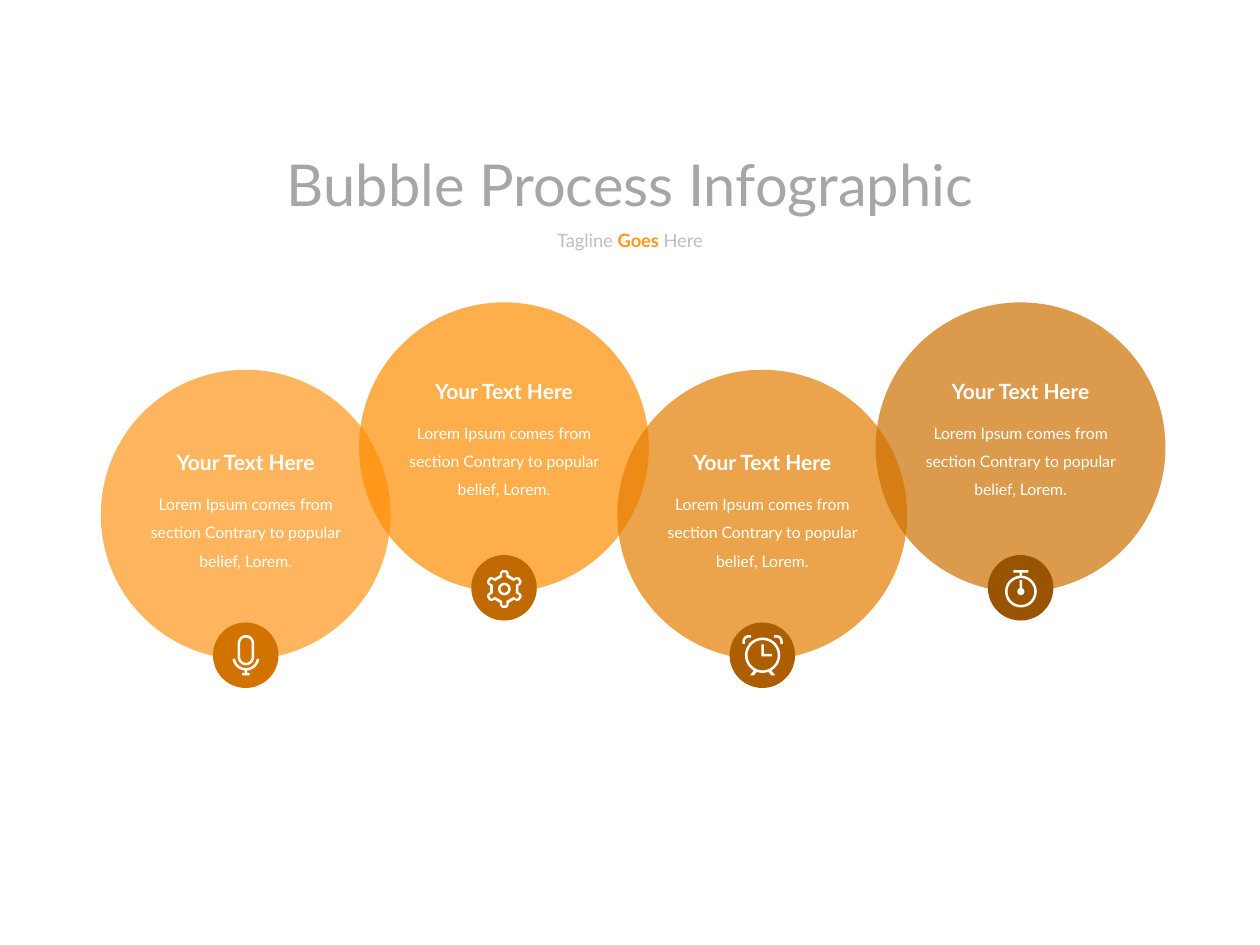
import math
from dataclasses import dataclass

import pptx
import pptx.dml.color
import pptx.enum.shapes
import pptx.enum.text
import pptx.oxml
import pptx.oxml.ns
import pptx.util

COLS, ROWS = 200, 150  # grid over the slide
HUNDREDTH = 0.2        # one hundredth of an inch, in grid columns


@dataclass(frozen=True)
class Theme:
    font: str = "Lato"
    white: str = "FFFFFF"
    title: str = "A6A6A6"
    muted: str = "BFBFBF"
    accent: str = "FF9719"
    bubbles: tuple = ("FF9719", "FF8C00", "E57E00", "CC7000")
    badges: tuple = ("D27300", "BF6900", "AC5E00", "995400")
    bubble_alpha: int = 70
    title_size: float = 33
    tagline_size: float = 10.5
    heading_size: float = 12
    body_size: float = 9


def add_run(p, text, font, size, color, bold=False):
    r = p.add_run()
    r.text = text
    r.font.name = font
    r.font.size = pptx.util.Pt(size)
    r.font.bold = bold
    r.font.color.rgb = pptx.dml.color.RGBColor.from_string(color)


class SlideBuilder:
    def __init__(self, prs, theme):
        self.theme = theme
        self.s = prs.slides.add_slide(prs.slide_layouts[5])
        self.col = prs.slide_width / COLS
        self.row = prs.slide_height / ROWS

    def box(self, cx, top, width, height):
        """Turn a centred grid box into left, top, width, height in EMU."""
        return (round((cx - width / 2) * self.col), round(top * self.row),
                round(width * self.col), round(height * self.row))

    def fill_text(self, sp, runs, size, wrap=False, spacing=None):
        tf = sp.text_frame
        tf.word_wrap = wrap
        tf.vertical_anchor = pptx.enum.text.MSO_ANCHOR.TOP
        tf.auto_size = pptx.enum.text.MSO_AUTO_SIZE.NONE
        p = tf.paragraphs[0]
        p.alignment = pptx.enum.text.PP_ALIGN.CENTER
        if spacing:
            p.line_spacing = spacing
        for text, color, bold in runs:
            add_run(p, text, self.theme.font, size, color, bold=bold)

    def title(self, text, cx, top, width, height):
        sp = self.s.shapes.title
        sp.left, sp.top, sp.width, sp.height = self.box(cx, top, width, height)
        self.fill_text(sp, [(text, self.theme.title, False)], self.theme.title_size)

    def text(self, runs, cx, top, width, height, **style):
        sp = self.s.shapes.add_textbox(*self.box(cx, top, width, height))
        self.fill_text(sp, runs, **style)

    def paint(self, sp, color, alpha=None):
        sp.shadow.inherit = False
        sp.line.fill.background()
        sp.fill.solid()
        sp.fill.fore_color.rgb = pptx.dml.color.RGBColor.from_string(color)
        if alpha:
            clr = sp._element.spPr.find(".//" + pptx.oxml.ns.qn("a:srgbClr"))
            node = pptx.oxml.parse_xml(
                f'<a:alpha {pptx.oxml.ns.nsdecls("a")} val="{alpha * 1000}"/>')
            clr.append(node)

    def circle(self, cx, cy, size, color, alpha=None):
        sp = self.s.shapes.add_shape(pptx.enum.shapes.MSO_SHAPE.OVAL,
                                     *self.box(cx, cy - size / 2, size, size))
        self.paint(sp, color, alpha)

    def icon(self, contours, cx, cy):
        """Draw contours given in hundredths of an inch around a centre."""
        def place(points):
            return [((cx + x * HUNDREDTH) * self.col, (cy + y * HUNDREDTH) * self.row)
                    for x, y in points]

        first, *others = map(place, contours)
        builder = self.s.shapes.build_freeform(*first[0], scale=1.0)
        builder.add_line_segments(first[1:], close=True)
        for points in others:
            builder.move_to(*points[0])
            builder.add_line_segments(points[1:], close=True)
        self.paint(builder.convert_to_shape(), self.theme.white)


def arc(cx, cy, radius, start=0, end=360):
    steps = max(8, abs(end - start) // 8)
    angles = [math.radians(start + (end - start) * i / steps) for i in range(steps + 1)]
    return [(cx + radius * math.cos(a), cy + radius * math.sin(a)) for a in angles]


def ring(cx, cy, outer, inner):
    return [arc(cx, cy, outer), arc(cx, cy, inner)]


def bar(left, top, right, bottom):
    return [(left, top), (right, top), (right, bottom), (left, bottom)]


def mirror(points):
    return [(-x, y) for x, y in points]


def microphone():
    def capsule(radius):
        return arc(0, -9.5, radius, 180, 360) + arc(0, 1.5, radius, 0, 180)

    cradle = arc(0, 1.5, 10.7, 8, 172) + arc(0, 1.5, 8.7, 172, 8)
    stand = [(-1, 12), (1, 12), (1, 14), (3, 14), (3, 16), (-3, 16), (-3, 14), (-1, 14)]
    return [capsule(6.5), capsule(4.5), cradle, stand]


def gear():
    def wheel(half_tooth):
        """Repeat half a tooth, mirrored, at six angles."""
        tooth = half_tooth + mirror(half_tooth)[::-1]
        turns = [math.radians(60 * i) for i in range(6)]
        return [(x * math.cos(a) - y * math.sin(a), 1 + x * math.sin(a) + y * math.cos(a))
                for a in turns for x, y in tooth]

    return [wheel([(-3.5, -11), (-3.3, -13.3), (-1.7, -15)]),
            wheel([(-1.7, -9.5), (-1.7, -12.5), (-1.2, -13)]),
            *ring(0, 1, 5, 3)]


def alarm_clock():
    hands = [(-1, -8.5), (1, -8.5), (1, -1), (7.5, -1), (7.5, 1), (-1, 1)]
    ear = [(-16, -9), *arc(-11, -11, 5, 180, 270), (-9, -16),
           (-9, -14), *arc(-11, -11, 3, 270, 180), (-14, -9)]
    foot = [(-7, 12.2), (-10, 16), (-7, 16), (-4.6, 13.3)]
    return [*ring(0, 0, 14, 12), hands, ear, mirror(ear), foot, mirror(foot)]


def stopwatch():
    return [*ring(0, 3, 12.6, 10.6), bar(-6, -14, 6, -12), bar(-1, -12, 1, -9.5),
            bar(-1, -6, 1, 0.3), arc(0, 3, 2.8)]


def main():
    prs = pptx.Presentation()
    prs.slide_width = pptx.util.Inches(10)
    prs.slide_height = pptx.util.Inches(7.5)
    theme = Theme()
    sb = SlideBuilder(prs, theme)

    sb.title("Bubble Process Infographic", 100, 22.6, 118.6, 13.2)
    sb.text([("Tagline ", theme.muted, False), ("Goes ", theme.accent, True),
             ("Here", theme.muted, False)], 100, 35.4, 28, 5.6, size=theme.tagline_size)

    icons = (microphone, gear, alarm_clock, stopwatch)
    centers = [39 + 41 * i for i in range(len(icons))]
    raised = [i % 2 for i in range(len(icons))]
    badge_rows = [104 - 10.7 * up for up in raised]
    for cx, cy, bubble, badge in zip(centers, badge_rows, theme.bubbles, theme.badges):
        sb.circle(cx, cy - 22.3, 46, bubble, theme.bubble_alpha)
        sb.circle(cx, cy, 10.4, badge)
    for cx, cy, icon in zip(centers, badge_rows, icons):
        sb.icon(icon(), cx + 0.05, cy)

    for cx, up in zip(centers, raised):
        top = 70.4 - 11.3 * up
        sb.text([("Your Text Here", theme.white, True)], cx, top, 27.2, 6,
                size=theme.heading_size)
        sb.text([("Lorem Ipsum comes from section Contrary to popular belief, Lorem.",
                  theme.white, False)], cx, top + 5.6, 34.8, 15.6,
                size=theme.body_size, wrap=True, spacing=1.5)

    prs.save("out.pptx")


if __name__ == "__main__":
    main()
